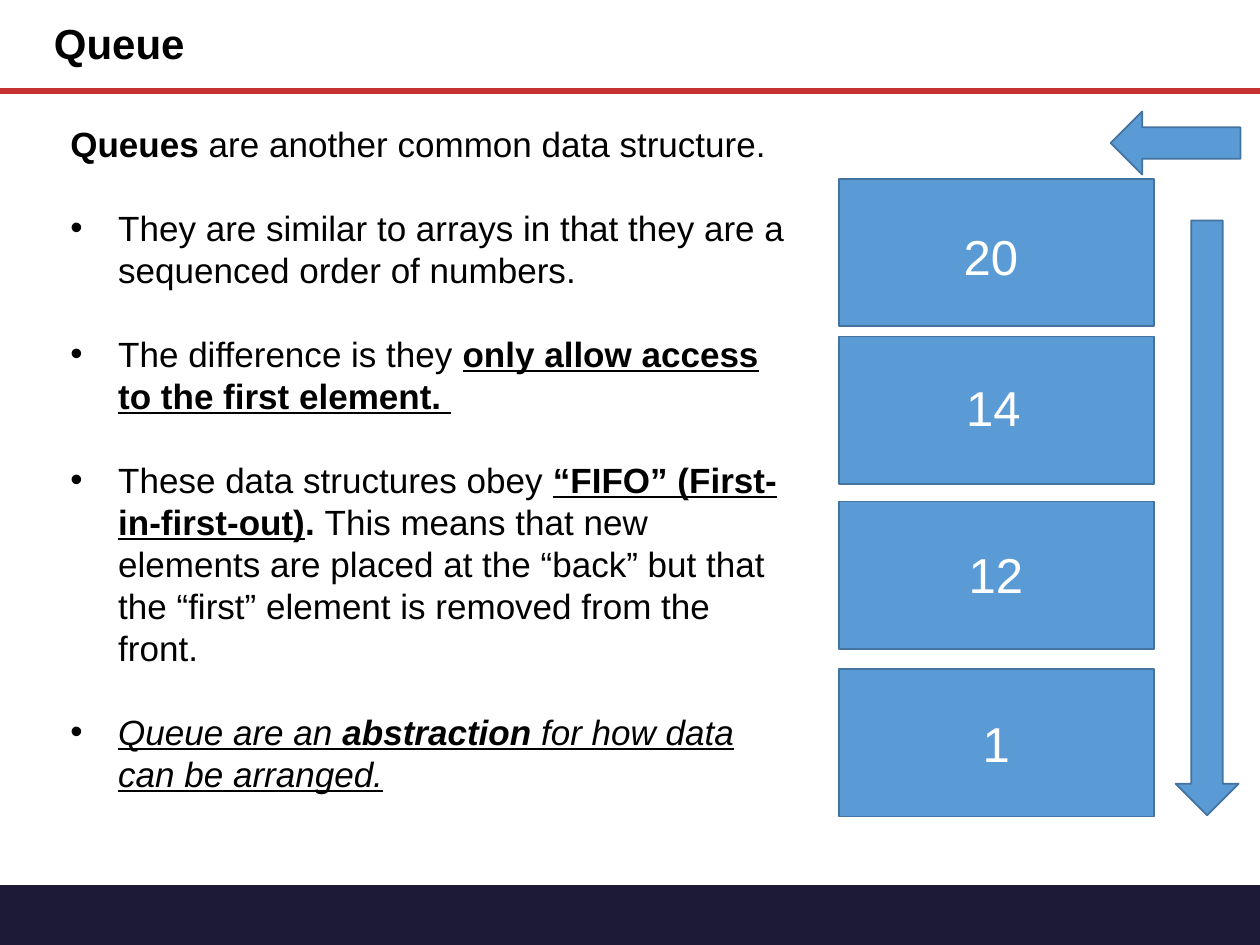
from pptx import Presentation
from pptx.dml.color import RGBColor
from pptx.enum.shapes import MSO_CONNECTOR, MSO_SHAPE
from pptx.enum.text import MSO_ANCHOR
from pptx.oxml.ns import qn
from pptx.util import Inches, Pt
from lxml import etree

RECT = MSO_SHAPE.RECTANGLE
BAND = MSO_SHAPE.FLOWCHART_PROCESS
ARROW = MSO_SHAPE.UP_ARROW
LINE = MSO_CONNECTOR.STRAIGHT
MIDDLE = MSO_ANCHOR.MIDDLE

COLORS = {
    "ink": "000000", "paper": "FFFFFF", "navy": "1D1A36",
    "red": "C83232", "blue": "5B9BD5", "edge": "43739E",
}
PLAIN, BOLD = {}, {"bold": True}
STRONG = {"bold": True, "underline": True}
SLANT = {"italic": True, "underline": True}

INTRO = [("Queues ", BOLD), ("are another common data structure.", PLAIN)]
POINTS = [
    [("They are similar to arrays in that they are a sequenced order of numbers.", PLAIN)],
    [("The difference is they ", PLAIN),
     ("only allow access to the first element. ", STRONG)],
    [("These data structures obey ", PLAIN),
     ("“FIFO” (First-in-first-out)", STRONG),
     (". ", BOLD),
     ("This means that new elements are placed at the “back” but that "
      "the “first” element is removed from the front.", PLAIN)],
    [("Queue are an ", SLANT),
     ("abstraction ", {**SLANT, "bold": True}),
     ("for how data can be arranged.", SLANT)],
]
ITEMS = [
    ("20", 0, 0.89, 0.33),
    ("14", 1.25, 0.91, 0.28),
    ("12", 2.56, 0.93, 0.29),
    ("1", 3.89, 1.04, 0.3),
]


def rgb(name):
    """Return the named colour."""
    return RGBColor.from_string(COLORS[name])


def add_runs(para, runs, size, color="ink"):
    """Add formatted runs to a paragraph."""
    for text, style in runs:
        run = para.add_run()
        run.text = text
        font = run.font
        font.color.rgb = rgb(color)
        values = {"name": "Arial", "size": Pt(size), **style}
        for key, value in values.items():
            setattr(font, key, value)


def add_text(slide, box, wrap=True):
    """Add an empty text box and return its frame."""
    frame = slide.shapes.add_textbox(*map(Inches, box)).text_frame
    frame.word_wrap = wrap
    return frame


def add_block(slide, kind, box, fill="blue", edge="edge", turn=0):
    """Add a filled preset shape."""
    shape = slide.shapes.add_shape(kind, *map(Inches, box))
    shape.shadow.inherit = False
    shape.rotation = turn
    shape.fill.solid()
    shape.fill.fore_color.rgb = rgb(fill)
    if edge:
        shape.line.color.rgb = rgb(edge)
        shape.line.width = Pt(1)
    else:
        shape.line.fill.background()


def add_bullet(para):
    """Give a paragraph a hanging bullet."""
    props = para._p.get_or_add_pPr()
    props.set("marL", str(Inches(0.38)))
    props.set("indent", str(-Inches(0.38)))
    etree.SubElement(props, qn("a:buFont")).set("typeface", "Arial")
    etree.SubElement(props, qn("a:buChar")).set("char", "•")


def add_frame(slide, x, y, w, h):
    """Draw the footer band and the rule under the title."""
    add_block(slide, BAND, (x, y + h - 0.48, w, 0.48), "navy", None)
    rule = slide.shapes.add_connector(
        LINE, *map(Inches, (x, y + 0.72, x + w, y + 0.72)))
    rule.line.color.rgb = rgb("red")
    rule.line.width = Pt(3.25)
    etree.SubElement(rule._element.spPr, qn("a:effectLst"))


def add_title(slide, box, text):
    """Write the slide title."""
    frame = add_text(slide, box)
    frame.vertical_anchor = MIDDLE
    para = frame.paragraphs[0]
    para.line_spacing = 0.9
    add_runs(para, [(text, BOLD)], 24)


def add_queue(slide, x, y):
    """Draw the stacked items and the arrows for entry and flow."""
    for _, top, _, _ in ITEMS:
        add_block(slide, RECT, (x, y + top, 2.5, 1.17))
    for text, top, dx, dy in ITEMS:
        width = 0.64 if len(text) > 1 else 0.42
        frame = add_text(slide, (x + dx, y + top + dy, width, 0.57), False)
        add_runs(frame.paragraphs[0], [(text, PLAIN)], 28, "paper")
    add_block(slide, ARROW, (x + 2.67, y + 0.33, 0.5, 4.72), turn=180)
    add_block(slide, ARROW, (x + 2.42, y - 0.8, 0.5, 1.03), turn=270)


def add_body(slide, box):
    """Write the opening line and the bullet points."""
    frame = add_text(slide, box)
    add_runs(frame.paragraphs[0], INTRO, 20)
    for runs in POINTS:
        para = frame.add_paragraph()
        para.space_before = Pt(24)
        add_bullet(para)
        add_runs(para, runs, 20)


def main():
    """Build and save the slide."""
    deck = Presentation()
    deck.slide_width, deck.slide_height = Inches(10), Inches(7.5)
    slide = deck.slides.add_slide(deck.slide_layouts[6])
    add_frame(slide, 0, 0, 10, 7.5)
    add_title(slide, (0.33, 0, 9.17, 0.72), "Queue")
    add_queue(slide, 6.66, 1.42)
    add_body(slide, (0.46, 0.92, 5.88, 5.49))
    deck.save("out.pptx")


if __name__ == "__main__":
    main()
